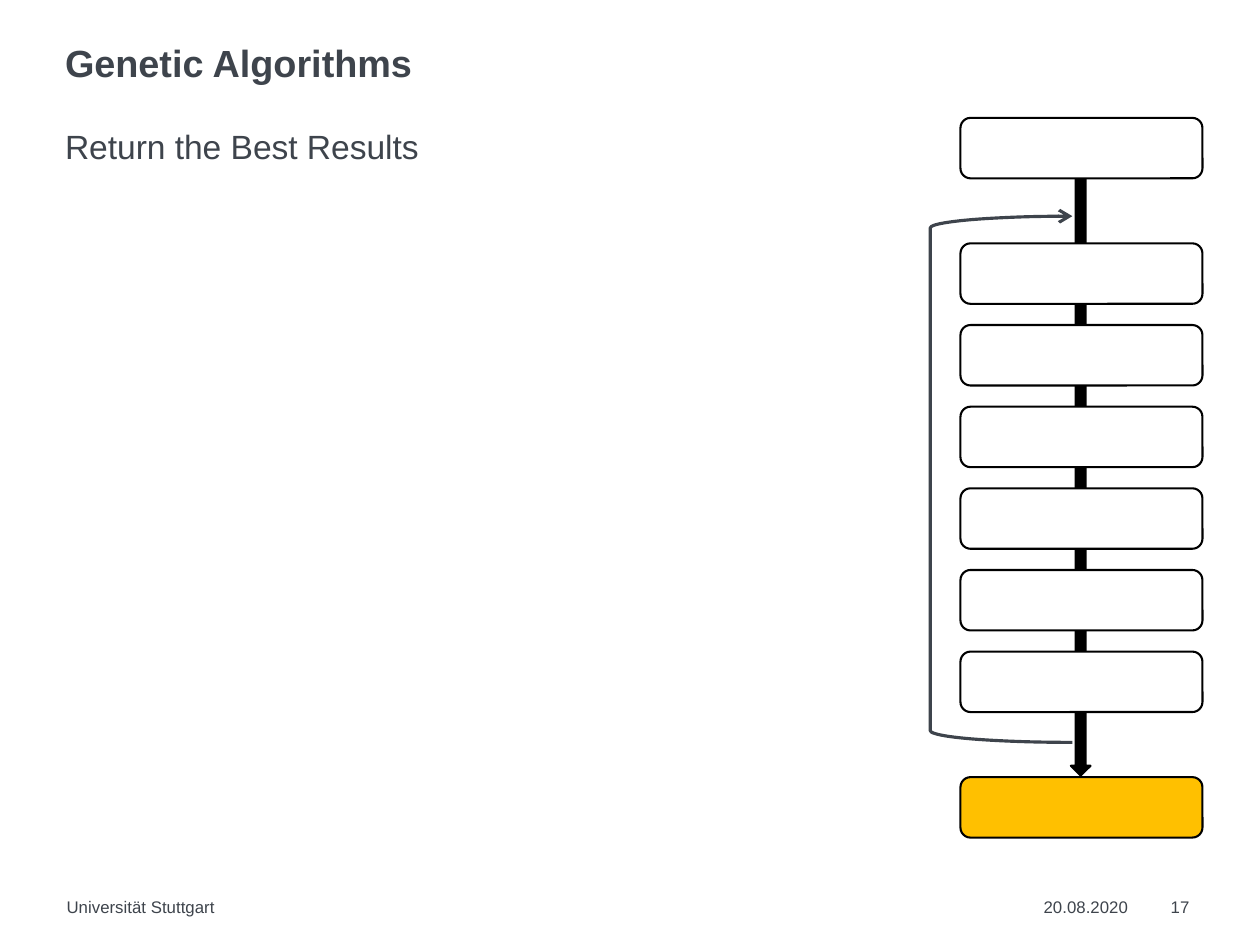
from lxml import etree
from pptx import Presentation
from pptx.dml.color import RGBColor
from pptx.enum import shapes, text
from pptx.oxml import ns
from pptx.util import Inches, Pt

COLORS = {"ink": "3E444C", "black": "000000", "white": "FFFFFF", "current": "FFC000"}
FONT = "Arial"

TITLE = "Genetic Algorithms"
SUBTITLE = "Return the Best Results"
FOOTERS = [
    ("Universität Stuttgart", 0.44, 5.51),
    ("20.08.2020", 6.9, 0.66),
    ("17", 7.74, 0.24),
]

STEP_LEFT, STEP_WIDTH, STEP_HEIGHT = 6.35, 1.6, 0.4
START_TOP, LOOP_TOP, RESULT_TOP = 0.78, 1.61, 5.14
LOOP_COUNT, LOOP_PITCH = 6, 0.54

deck = Presentation()
deck.slide_width, deck.slide_height = Inches(8.33), Inches(6.25)
page = deck.slides.add_slide(deck.slide_layouts[6])


def color(name):
    return RGBColor.from_string(COLORS[name])


def add_text(content, left, top, width, height, size, bold=False, spacing=1.0, before=0):
    box = page.shapes.add_textbox(Inches(left), Inches(top), Inches(width), Inches(height))
    frame = box.text_frame
    frame.word_wrap = True
    frame.vertical_anchor = text.MSO_ANCHOR.TOP
    frame.margin_left = frame.margin_right = frame.margin_top = frame.margin_bottom = 0
    para = frame.paragraphs[0]
    para.line_spacing = spacing
    para.space_before = Pt(before)
    span = para.add_run()
    span.text = content
    span.font.name = FONT
    span.font.size = Pt(size)
    span.font.bold = bold
    span.font.color.rgb = color("ink")


def add_figure(kind, left, top, width, height, fill=None, line="black", weight=1):
    figure = page.shapes.add_shape(
        kind, Inches(left), Inches(top), Inches(width), Inches(height)
    )
    figure.shadow.inherit = False
    if fill:
        figure.fill.solid()
        figure.fill.fore_color.rgb = color(fill)
    else:
        figure.fill.background()
    figure.line.color.rgb = color(line)
    figure.line.width = Pt(weight)
    return figure


kinds = shapes.MSO_SHAPE
add_figure(kinds.DOWN_ARROW, 7.08, 1.03, 0.13, 4.1, fill="black")

for label, left, width in FOOTERS:
    add_text(label, left, 5.93, width, 0.13, size=8)

loop_tops = [LOOP_TOP + LOOP_PITCH * index for index in range(LOOP_COUNT)]
steps = [(top, "white") for top in [START_TOP, *loop_tops]] + [(RESULT_TOP, "current")]
for top, fill in steps:
    add_figure(kinds.FLOWCHART_ALTERNATE_PROCESS, STEP_LEFT, top, STEP_WIDTH, STEP_HEIGHT, fill=fill)

loop_back = add_figure(kinds.LEFT_BRACKET, 6.15, 1.43, 0.94, 3.48, line="ink", weight=1.5)
outline = loop_back.line._get_or_add_ln()
etree.SubElement(outline, ns.qn("a:tailEnd"), type="arrow")

add_text(TITLE, 0.43, 0.3, 7.48, 0.3, size=18, bold=True, spacing=0.9)
add_text(SUBTITLE, 0.43, 0.78, 7.48, 0.3, size=16, spacing=1.2, before=6.2)

deck.save("out.pptx")
